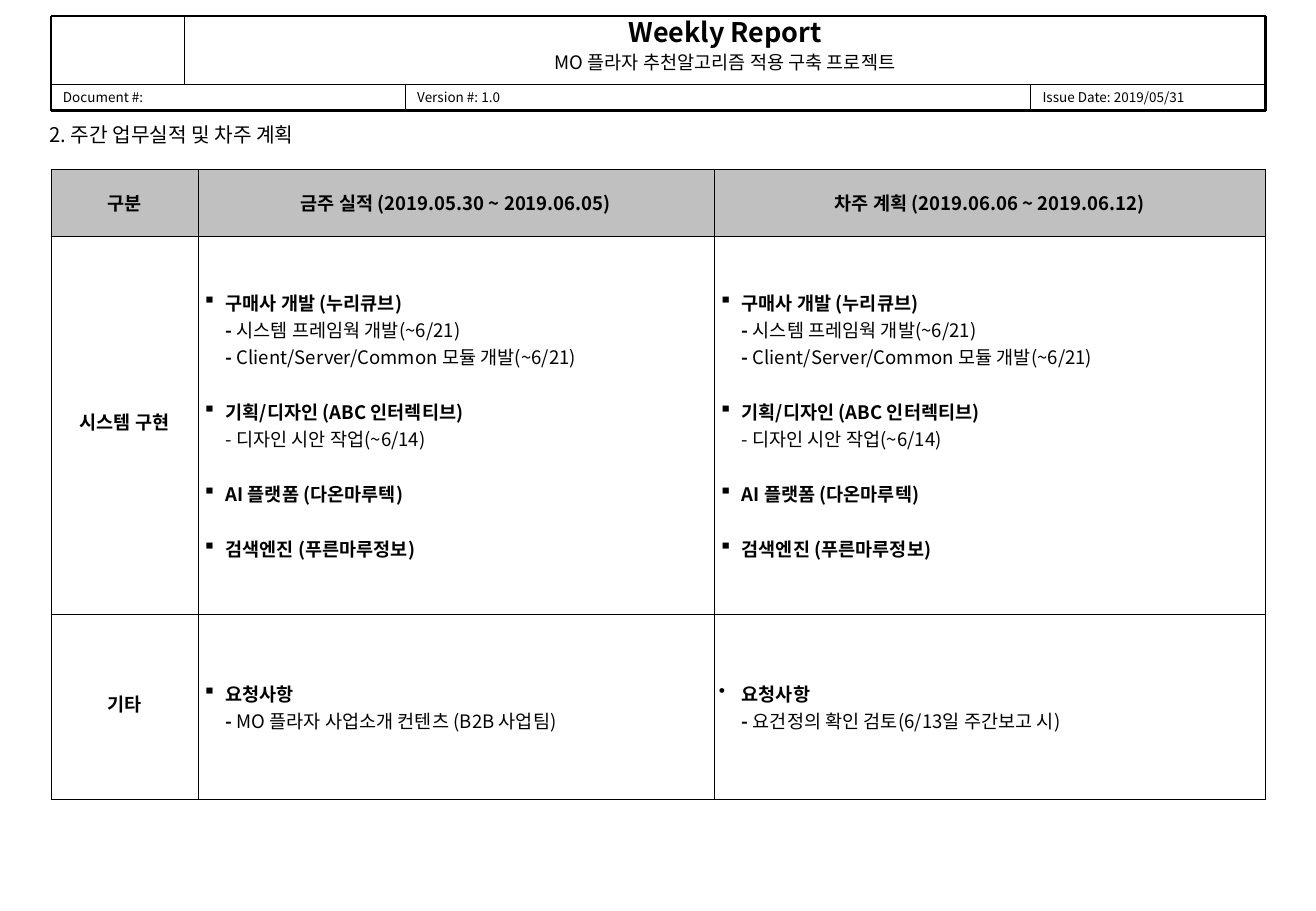
from copy import deepcopy

from pptx import Presentation
from pptx.dml.color import RGBColor
from pptx.enum.shapes import MSO_CONNECTOR
from pptx.enum.text import MSO_ANCHOR as Anchor, PP_ALIGN as Align
from pptx.oxml.ns import qn
from pptx.util import Pt
from lxml.etree import SubElement

FONT = "Noto Sans CJK KR"
BLACK = RGBColor(0, 0, 0)
GRAY = RGBColor(0xC0, 0xC0, 0xC0)

HEADER_BOX = (30.24, 9.36, 720, 56.2)
SECTION_BOX = (22.3, 68.7, 221, 21.6)
TABLE_BOX = (30.24, 100.4, 720, 373.7)

VENDOR_WORK = [
    [("구매사 개발 (누리큐브)\n- ", True), ("시스템 프레임웍 개발(~6/21)\n", False),
     ("-", True), (" Client/Server/Common 모듈 개발(~6/21)", False)],
    [("기획/디자인 (ABC 인터렉티브)\n", True), ("- 디자인 시안 작업(~6/14)", False)],
    [("AI 플랫폼 (다온마루텍)", True)],
    [("검색엔진 (푸른마루정보)", True)],
]
THIS_WEEK_REQUEST = [("요청사항\n-", True), (" MO 플라자 사업소개 컨텐츠 (B2B 사업팀)", False)]
NEXT_WEEK_REQUEST = [("요청사항\n- ", True), ("요건정의 확인 검토(6/13일 주간보고 시)", False)]

COLUMN_HEADS = ["구분", "금주 실적 (2019.05.30 ~ 2019.06.05)",
                "차주 계획 (2019.06.06 ~ 2019.06.12)"]
BODY_ROWS = [
    ("시스템 구현", (VENDOR_WORK, "▪"), (VENDOR_WORK, "▪")),
    ("기타", ([THIS_WEEK_REQUEST], "▪"), ([NEXT_WEEK_REQUEST], "•")),
]


def add_text(para, text, size=11, bold=False):
    """Append text to a paragraph; each newline becomes a line break of the same size."""
    for index, part in enumerate(text.split("\n")):
        if index:
            para.add_line_break()
            line_break = para._p.findall(qn("a:br"))[-1]
            line_break.append(deepcopy(span._r.rPr))
        if part:
            span = para.add_run()
            span.text = part
            span.font.size, span.font.bold, span.font.name = Pt(size), bold, FONT
            span.font.color.rgb = BLACK
            SubElement(span._r.rPr, qn("a:ea"), typeface=FONT)


def add_label(page, box, text, size, anchor=Anchor.MIDDLE, inset=0):
    label = page.shapes.add_textbox(*map(Pt, box))
    frame = label.text_frame
    frame.word_wrap = True
    frame.vertical_anchor = anchor
    frame.margin_left = frame.margin_right = Pt(7.2)
    frame.margin_top = frame.margin_bottom = Pt(inset)
    add_text(frame.paragraphs[0], text, size)


def add_line(page, x1, y1, x2, y2, width):
    line = page.shapes.add_connector(MSO_CONNECTOR.STRAIGHT, Pt(x1), Pt(y1), Pt(x2), Pt(y2))
    line.line.color.rgb = BLACK
    line.line.width = Pt(width)
    SubElement(line._element.spPr, qn("a:effectLst"))


def add_title(page, box):
    title = page.shapes.add_textbox(*map(Pt, box))
    frame = title.text_frame
    frame.word_wrap = True
    frame.margin_top = frame.margin_bottom = 0
    heading, project = frame.paragraphs[0], frame.add_paragraph()
    heading.alignment = project.alignment = Align.CENTER
    project.space_before = Pt(1.4)
    add_text(heading, "Weekly Report", 16, True)
    add_text(project, "MO 플라자 추천알고리즘 적용 구축 프로젝트", 11)


def add_header(page, box):
    left, top, width, height = box
    right, bottom, middle = left + width, top + height, top + 40.3
    logo_edge = left + 79.2
    add_title(page, (logo_edge, top, right - logo_edge, middle - top))

    edges = [left, left + 210, left + 580.7, right]
    fields = ["Document #:", "Version #: 1.0", "Issue Date: 2019/05/31"]
    for start, end, text in zip(edges, edges[1:], fields):
        add_label(page, (start, middle, end - start, bottom - middle), text, 8)

    add_line(page, logo_edge, top, logo_edge, middle, 0.25)
    for x in edges[1:-1]:
        add_line(page, x, middle, x, bottom, 0.25)
    add_line(page, left, middle, right, middle, 0.25)
    for x in (left, right):
        add_line(page, x, top, x, bottom, 1.5)
    for y in (top, bottom):
        add_line(page, left, y, right, y, 1.5)


def set_borders(cell, width):
    """Draw left, right, top and bottom borders, ahead of the cell's fill."""
    props = cell._tc.get_or_add_tcPr()
    for index, side in enumerate("LRTB"):
        border = SubElement(props, qn(f"a:ln{side}"), w=str(Pt(width)))
        fill = SubElement(border, qn("a:solidFill"))
        SubElement(fill, qn("a:srgbClr"), val=str(BLACK))
        props.insert(index, border)


def fill_heading(cell, text, **spacing):
    cell.margin_left = cell.margin_right = Pt(1.44)
    para = cell.text_frame.paragraphs[0]
    para.alignment = Align.CENTER
    for name, value in spacing.items():
        setattr(para, name, Pt(value))
    add_text(para, text, bold=True)


def fill_tasks(cell, tasks, bullet):
    cell.margin_left = cell.margin_right = Pt(2.88)
    frame = cell.text_frame
    for index, task in enumerate(tasks):
        para = frame.add_paragraph() if index else frame.paragraphs[0]
        if index:
            para.space_before = Pt(16.6)
        props = para._p.get_or_add_pPr()
        props.set("marL", str(Pt(13.5)))
        props.set("indent", str(-Pt(13.5)))
        SubElement(props, qn("a:buChar"), char=bullet)
        for text, bold in task:
            add_text(para, text, bold=bold)


def add_report_table(page, box):
    table = page.shapes.add_table(3, 3, *map(Pt, box)).table
    table.first_row = table.horz_banding = False
    for column, width in zip(table.columns, (87.1, 306, 326.9)):
        column.width = Pt(width)
    for row, height in zip(table.rows, (39.6, 223.9, 110.2)):
        row.height = Pt(height)

    for r, row in enumerate(table.rows):
        for cell in row.cells:
            cell.vertical_anchor = Anchor.MIDDLE
            cell.margin_top = cell.margin_bottom = Pt(3.6)
            if r == 0:
                cell.fill.solid()
                cell.fill.fore_color.rgb = GRAY
            else:
                cell.fill.background()
            set_borders(cell, 0.45)

    for c, text in enumerate(COLUMN_HEADS):
        fill_heading(table.cell(0, c), text, space_before=2.8, space_after=2.8)
    for r, (name, *weeks) in enumerate(BODY_ROWS, 1):
        fill_heading(table.cell(r, 0), name, line_spacing=12)
        for c, (tasks, bullet) in enumerate(weeks, 1):
            fill_tasks(table.cell(r, c), tasks, bullet)


def main():
    deck = Presentation()
    deck.slide_width, deck.slide_height = Pt(780.13), Pt(540)
    page = deck.slides.add_slide(deck.slide_layouts[6])
    add_header(page, HEADER_BOX)
    add_label(page, SECTION_BOX, "2. 주간 업무실적 및 차주 계획", 12, Anchor.TOP, 3.6)
    add_report_table(page, TABLE_BOX)
    deck.save("out.pptx")


if __name__ == "__main__":
    main()
